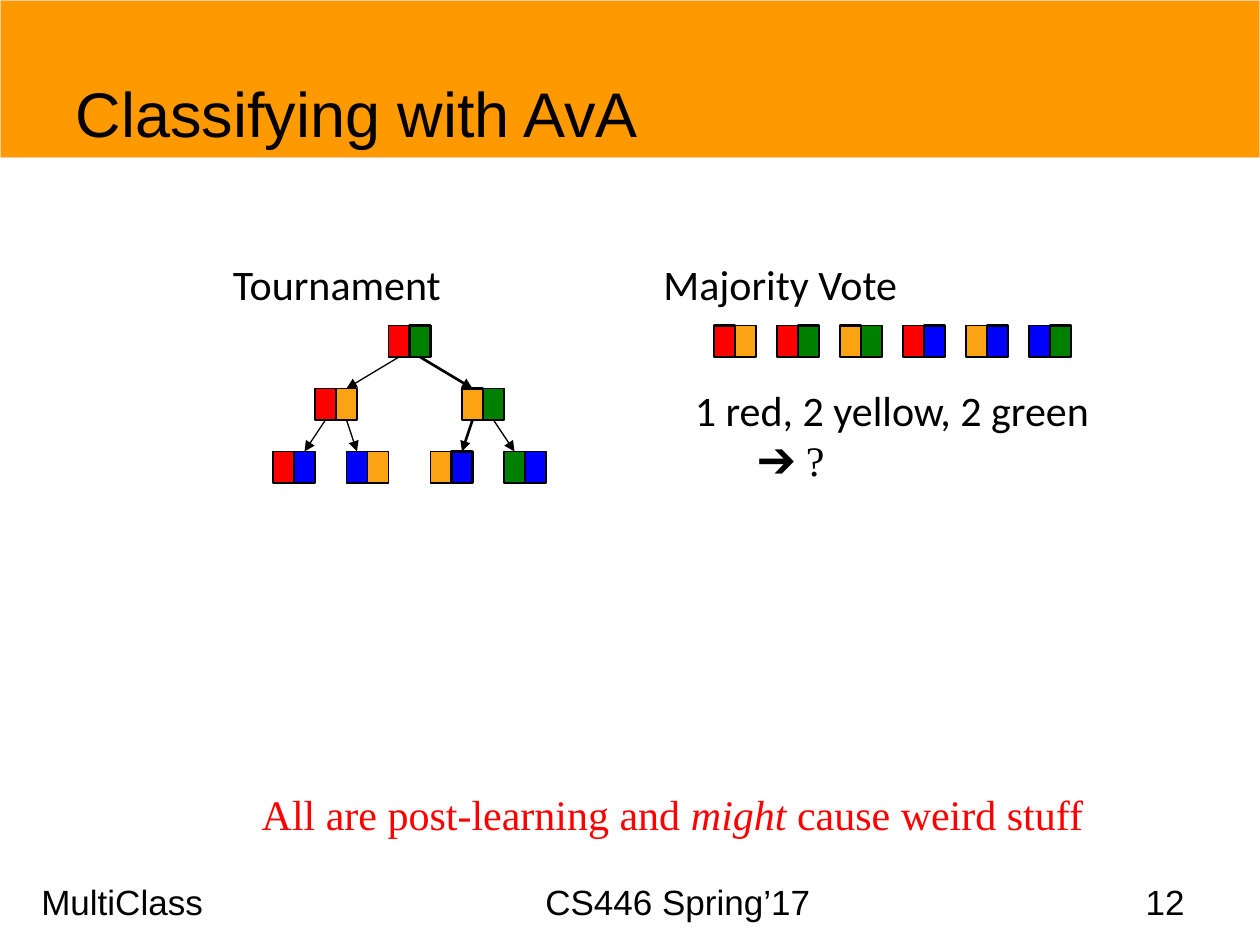
from lxml.etree import SubElement
from pptx import Presentation
from pptx.dml.color import RGBColor
from pptx.enum.shapes import MSO_CONNECTOR, MSO_SHAPE
from pptx.enum.text import MSO_ANCHOR, MSO_AUTO_SIZE, PP_ALIGN
from pptx.oxml.ns import qn
from pptx.util import Pt

COLORS = {
    "black": "000000",
    "band": "FF9900",
    "band edge": "FFCC99",
    "red": "FF0000",
    "green": "008000",
    "yellow": "FBA313",
    "blue": "0000FF",
}
CELL_WIDTH, CELL_HEIGHT = 12, 18
THIN, THICK = 0.75, 1.5
TOP_ROW = 186
ROW_STEP = 36

# Each match: name, left, row, two colours, index of the winning cell or None
MATCHES = [
    ("final", 222, 0, ("red", "green"), 1),
    ("left semi", 180, 1, ("red", "yellow"), None),
    ("right semi", 264, 1, ("yellow", "green"), 0),
    ("first", 156, 2, ("red", "blue"), None),
    ("second", 198, 2, ("blue", "yellow"), None),
    ("third", 246, 2, ("yellow", "blue"), 1),
    ("fourth", 288, 2, ("green", "blue"), None),
]
BRANCHES = [
    ("final", 0, "left semi", 1, THIN),
    ("final", 1, "right semi", 0, THICK),
    ("left semi", 0, "first", 1, THIN),
    ("left semi", 1, "second", 0, THIN),
    ("right semi", 0, "third", 1, THICK),
    ("right semi", 1, "fourth", 0, THIN),
]
VOTES = [
    (("red", "yellow"), 0),
    (("red", "green"), 1),
    (("yellow", "green"), 0),
    (("red", "blue"), 1),
    (("yellow", "blue"), 1),
    (("blue", "green"), 1),
]


def rgb(name):
    return RGBColor.from_string(COLORS[name])


def add_span(para, text, font="Calibri", size=24, color="black", italic=False):
    span = para.add_run()
    span.text = text
    span.font.name = font
    span.font.size = Pt(size)
    span.font.color.rgb = rgb(color)
    span.font.italic = italic


def add_box(shapes, left, top, width, height, wrap=False):
    box = shapes.add_textbox(Pt(left), Pt(top), Pt(width), Pt(height))
    box.text_frame.word_wrap = wrap
    return box.text_frame


def add_rectangle(shapes, left, top, width, height, fill, edge="black", weight=THIN):
    shape = shapes.add_shape(
        MSO_SHAPE.RECTANGLE, Pt(left), Pt(top), Pt(width), Pt(height)
    )
    shape.shadow.inherit = False
    shape.fill.solid()
    shape.fill.fore_color.rgb = rgb(fill)
    shape.line.color.rgb = rgb(edge)
    shape.line.width = Pt(weight)
    return shape


def add_pair(shapes, left, top, colors, winner):
    return [
        add_rectangle(
            shapes, left + index * CELL_WIDTH, top, CELL_WIDTH, CELL_HEIGHT, color,
            weight=THICK if index == winner else THIN,
        )
        for index, color in enumerate(colors)
    ]


def add_arrow(shapes, start, end, weight):
    arrow = shapes.add_connector(MSO_CONNECTOR.STRAIGHT, 0, 0, 0, 0)
    arrow.begin_connect(start, 2)
    arrow.end_connect(end, 0)
    arrow.line.color.rgb = rgb("black")
    arrow.line.width = Pt(weight)
    SubElement(arrow.line._get_or_add_ln(), qn("a:tailEnd"), type="triangle")
    SubElement(arrow._element.spPr, qn("a:effectLst"))


def add_title(page):
    band = add_rectangle(page.shapes, 0, 0, 720, 90, "band", edge="band edge")
    title = page.shapes.title
    title._element.addprevious(band._element)
    title.left, title.top, title.width, title.height = Pt(36), Pt(30), Pt(648), Pt(78)
    frame = title.text_frame
    frame.auto_size = MSO_AUTO_SIZE.NONE
    frame.vertical_anchor = MSO_ANCHOR.MIDDLE
    para = frame.paragraphs[0]
    para.alignment = PP_ALIGN.LEFT
    para.line_spacing = 0.75
    add_span(para, "Classifying with AvA", font="Arial", size=36)


def add_tournament(page):
    shapes = page.shapes.add_group_shape().shapes
    pairs = {
        name: add_pair(shapes, left, TOP_ROW + row * ROW_STEP, colors, winner)
        for name, left, row, colors, winner in MATCHES
    }
    for parent, start, child, end, weight in BRANCHES:
        add_arrow(shapes, pairs[parent][start], pairs[child][end], weight)
    label = add_box(shapes, 126, 144, 134.5, 36.5)
    add_span(label.paragraphs[0], "Tournament")


def add_majority_vote(page):
    shapes = page.shapes.add_group_shape().shapes
    for index, (colors, winner) in enumerate(VOTES):
        add_pair(shapes, 408 + index * 36, TOP_ROW, colors, winner)
    result = add_box(shapes, 390, 216, 242, 65.5)
    add_span(result.paragraphs[0], "1 red, 2 yellow, 2 green")
    add_span(result.add_paragraph(), "\t➔ ?", font="Times New Roman")
    label = add_box(shapes, 372, 144, 151, 36)
    add_span(label.paragraphs[0], "Majority Vote")


def add_remark(page):
    para = add_box(page.shapes, 142.5, 447, 484, 36).paragraphs[0]
    style = {"font": "Times New Roman", "color": "red"}
    add_span(para, "All are post-learning and ", **style)
    add_span(para, "might", italic=True, **style)
    add_span(para, " cause weird stuff", **style)


def add_footer(page):
    para = add_box(page.shapes, 16.5, 499.5, 691, 40, wrap=True).paragraphs[0]
    tabs = SubElement(para._p.get_or_add_pPr(), qn("a:tabLst"))
    SubElement(tabs, qn("a:tab"), pos=str(Pt(288)), algn="l")
    add_span(para, "MultiClass\tCS446 Spring’17", font="Arial", size=20)
    number = add_box(page.shapes, 516, 500.5, 168, 29, wrap=True)
    number.vertical_anchor = MSO_ANCHOR.MIDDLE
    number.paragraphs[0].alignment = PP_ALIGN.RIGHT
    add_span(number.paragraphs[0], "12", font="Arial", size=20)


def main():
    deck = Presentation()
    deck.slide_width, deck.slide_height = Pt(720), Pt(540)
    page = deck.slides.add_slide(deck.slide_layouts[5])
    add_title(page)
    add_tournament(page)
    add_majority_vote(page)
    add_remark(page)
    add_footer(page)
    deck.save("out.pptx")


if __name__ == "__main__":
    main()
